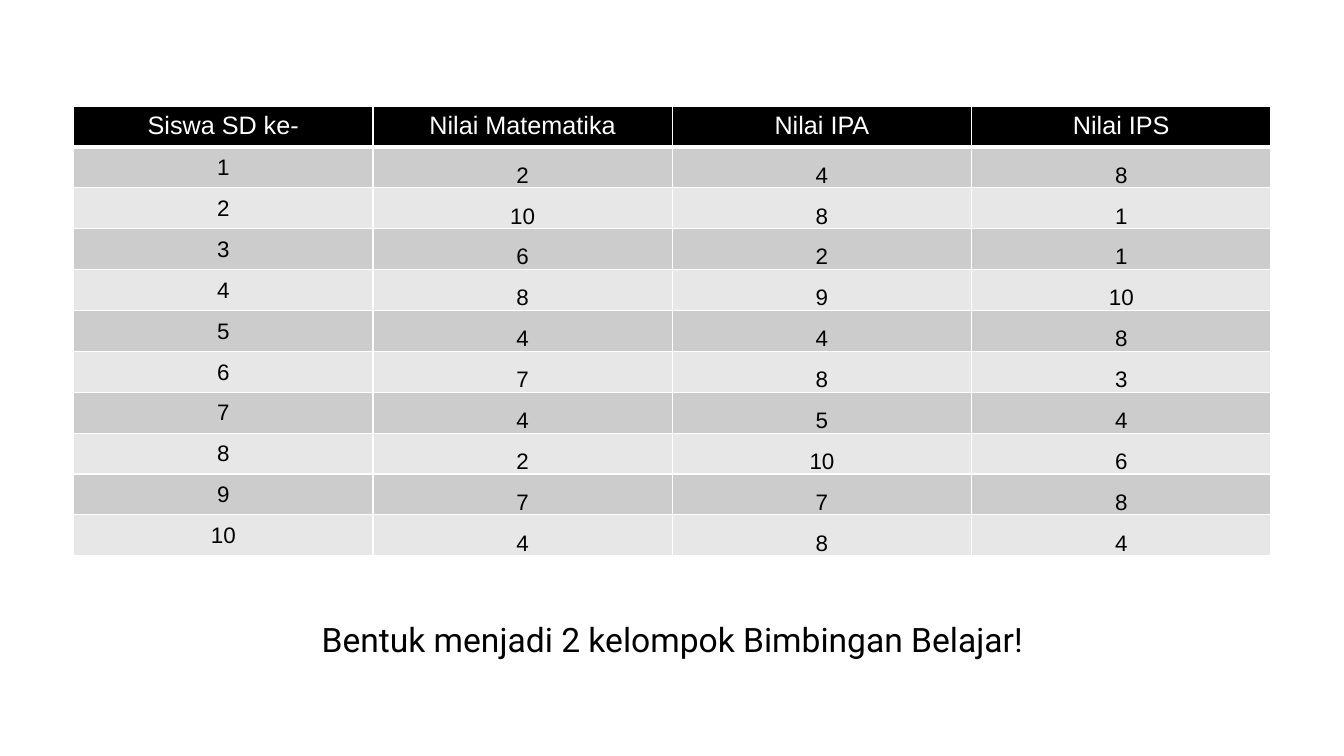
"""Build a slide with a table of pupils' marks and a task line below it."""
from lxml.etree import SubElement
from pptx import Presentation
from pptx.dml.color import RGBColor
from pptx.enum.text import MSO_ANCHOR, PP_ALIGN
from pptx.oxml.ns import qn
from pptx.util import Pt

COLORS = {"header": "000000", "odd": "CCCCCC", "even": "E7E7E7",
          "light": "FFFFFF", "dark": "000000"}
LEFT, WIDTH = 52.56, 855.36
ROW_HEIGHT = 29.2
HEADINGS = ["Siswa SD ke-", "Nilai Matematika", "Nilai IPA", "Nilai IPS"]
MARKS = [(2, 4, 8), (10, 8, 1), (6, 2, 1), (8, 9, 10), (4, 4, 8),
         (7, 8, 3), (4, 5, 4), (2, 10, 6), (7, 7, 8), (4, 8, 4)]


def write(frame, text, font, size, color):
    """Put one centred line of text into a frame."""
    line = frame.paragraphs[0]
    line.text = text
    line.alignment = PP_ALIGN.CENTER
    line.font.name = font
    line.font.size = Pt(size)
    line.font.bold = False
    line.font.color.rgb = RGBColor.from_string(COLORS[color])


def add_borders(cell, top=1, bottom=1):
    """Draw light borders round a cell, with widths in points."""
    properties = cell._tc.get_or_add_tcPr()
    for side, width in (("L", 1), ("R", 1), ("T", top), ("B", bottom)):
        border = SubElement(properties, qn(f"a:ln{side}"), w=str(Pt(width)))
        fill = SubElement(border, qn("a:solidFill"))
        SubElement(fill, qn("a:srgbClr"), val=COLORS["light"])


def paint(cell, color):
    """Fill a cell with a named colour."""
    cell.fill.solid()
    cell.fill.fore_color.rgb = RGBColor.from_string(COLORS[color])


def format_mark(cell, anchor):
    """Set the narrow margins and the anchor of a body cell."""
    cell.margin_left = cell.margin_right = cell.margin_top = Pt(0.72)
    cell.margin_bottom = Pt(0)
    cell.vertical_anchor = anchor


def add_marks_table(slide):
    """Add the table with one row for each pupil."""
    row_count = len(MARKS) + 1
    marks_table = slide.shapes.add_table(
        row_count, len(HEADINGS), Pt(LEFT), Pt(75.8),
        Pt(WIDTH), Pt(ROW_HEIGHT * row_count)).table
    for column, heading in enumerate(HEADINGS):
        cell = marks_table.cell(0, column)
        write(cell.text_frame, heading, "Arial", 18, "light")
        add_borders(cell, bottom=3)
        paint(cell, "header")
    for pupil, marks in enumerate(MARKS, start=1):
        for column, value in enumerate((pupil, *marks)):
            cell = marks_table.cell(pupil, column)
            write(cell.text_frame, str(value), "Arial", 16, "dark")
            format_mark(cell, MSO_ANCHOR.BOTTOM if column else MSO_ANCHOR.MIDDLE)
            add_borders(cell, top=3 if pupil == 1 else 1)
            paint(cell, "odd" if pupil % 2 else "even")


def add_task(slide, text):
    """Add the task line below the table."""
    task = slide.shapes.add_textbox(Pt(LEFT), Pt(438.5), Pt(WIDTH), Pt(36))
    task.text_frame.word_wrap = True
    write(task.text_frame, text, "Roboto", 24, "dark")


def main():
    """Build and save the slide."""
    deck = Presentation()
    deck.slide_width, deck.slide_height = Pt(960), Pt(540)
    slide = deck.slides.add_slide(deck.slide_layouts[6])
    add_marks_table(slide)
    add_task(slide, "Bentuk menjadi 2 kelompok Bimbingan Belajar!")
    deck.save("out.pptx")


if __name__ == "__main__":
    main()
